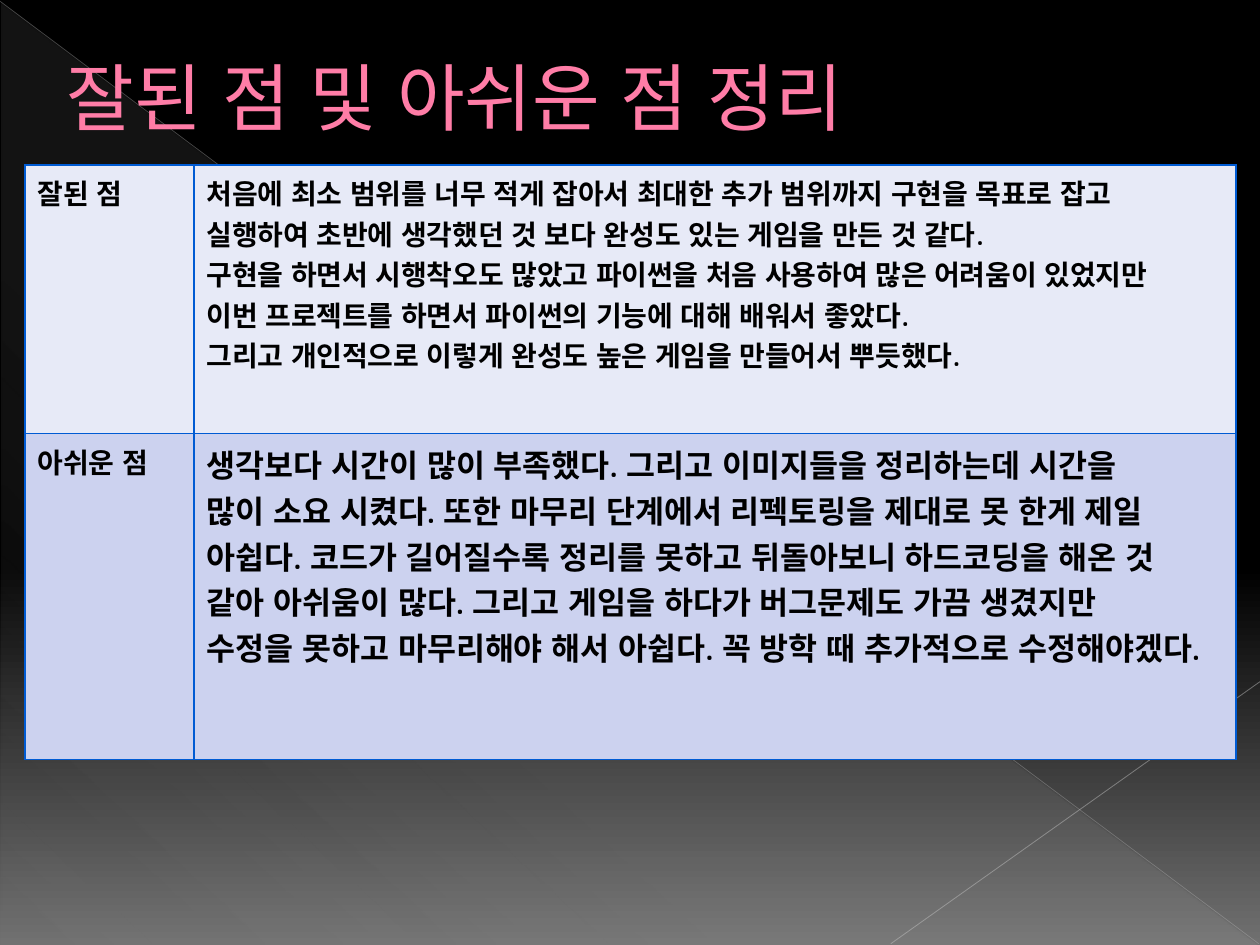
from lxml.etree import SubElement
from pptx import Presentation
from pptx.dml.color import RGBColor
from pptx.enum.shapes import MSO_CONNECTOR, MSO_SHAPE
from pptx.enum.text import MSO_ANCHOR, MSO_AUTO_SIZE, PP_ALIGN
from pptx.oxml.ns import qn
from pptx.util import Inches, Pt

# Content
TITLE = "잘된 점 및 아쉬운 점 정리"
ROWS = [
    {"label": "잘된 점", "fill": "good", "height": 2.13, "size": 16, "notes": [
        "처음에 최소 범위를 너무 적게 잡아서 최대한 추가 범위까지 구현을 목표로 잡고 "
        "실행하여 초반에 생각했던 것 보다 완성도 있는 게임을 만든 것 같다.",
        "구현을 하면서 시행착오도 많았고 파이썬을 처음 사용하여 많은 어려움이 있었지만",
        "이번 프로젝트를 하면서 파이썬의 기능에 대해 배워서 좋았다.",
        "그리고 개인적으로 이렇게 완성도 높은 게임을 만들어서 뿌듯했다."]},
    {"label": "아쉬운 점", "fill": "regret", "height": 2.59, "size": 18, "notes": [
        "생각보다 시간이 많이 부족했다. 그리고 이미지들을 정리하는데 시간을",
        "많이 소요 시켰다. 또한 마무리 단계에서 리펙토링을 제대로 못 한게 제일 아쉽다. "
        "코드가 길어질수록 정리를 못하고 뒤돌아보니 하드코딩을 해온 것 같아 아쉬움이 많다. "
        "그리고 게임을 하다가 버그문제도 가끔 생겼지만",
        "수정을 못하고 마무리해야 해서 아쉽다. 꼭 방학 때 추가적으로 수정해야겠다."]},
]
LABEL_SIZE = 16
COLUMNS = [1.34, 8.27]
LINE_SPACING = 1.16
RIGHT_MARGIN = 0.17
FONT = "Quicksand"
COLORS = {"night": "000000", "ash": "707070", "veil": "D2D2D2", "title": "FF7DA7",
          "outline": "B12761", "text": "000000", "border": "005BD3",
          "good": "E7EAF7", "regret": "CCD2EF", "falling": "BFBFBF", "rising": "C6C6C6"}
# Gradient stops: position, colour, opacity (percent)
BACKDROP = [(0, "night", 100), (60, "night", 100), (100, "ash", 100)]
VEIL = [(0, "veil", 10), (70, "veil", 8), (100, "veil", 1)]
# Diagonals: start, end, colour, width, opacity
DIAGONALS = [((0, 0.01), (9.99, 7.49), "falling", 0.39, 35),
             ((10, 5.41), (7.07, 7.49), "rising", 0.47, 45)]


def add_color(parent, color, opacity=100):
    node = SubElement(parent, qn("a:srgbClr"), val=COLORS[color])
    if opacity < 100:
        SubElement(node, qn("a:alpha"), val=str(opacity * 1000))


def set_gradient(fill, element, stops, angle):
    fill.gradient()
    gradient = next(element.iter(qn("a:gradFill")))
    for child in list(gradient):
        gradient.remove(child)
    stop_list = SubElement(gradient, qn("a:gsLst"))
    for position, color, opacity in stops:
        add_color(SubElement(stop_list, qn("a:gs"), pos=str(position * 1000)), color, opacity)
    SubElement(gradient, qn("a:lin"), ang=str(angle * 60000), scaled="0")


def add_span(para, text, size, color, bold=False):
    span = para.add_run()
    span.text = text
    span.font.size, span.font.bold, span.font.name = Pt(size), bold, FONT
    span.font.color.rgb = RGBColor.from_string(COLORS[color])
    SubElement(span.font._element, qn("a:ea"), typeface=FONT)
    return span


def set_cell(cell, lines, size, fill):
    cell.margin_right = Inches(RIGHT_MARGIN)
    for index, line in enumerate(lines):
        frame = cell.text_frame
        para = frame.add_paragraph() if index else frame.paragraphs[0]
        para.line_spacing = LINE_SPACING
        add_span(para, line, size, "text", bold=True)
    properties = cell._tc.get_or_add_tcPr()
    for side in ("a:lnL", "a:lnR", "a:lnT", "a:lnB"):
        border = SubElement(properties, qn(side), w=str(Pt(1)))
        add_color(SubElement(border, qn("a:solidFill")), "border")
    cell.fill.solid()
    cell.fill.fore_color.rgb = RGBColor.from_string(COLORS[fill])


deck = Presentation()
deck.slide_width, deck.slide_height = Inches(10), Inches(7.5)
page = deck.slides.add_slide(deck.slide_layouts[5])

# Background, triangular veil and diagonals
set_gradient(page.background.fill, page.element, BACKDROP, 90)
veil = page.shapes.add_shape(MSO_SHAPE.RIGHT_TRIANGLE, Inches(0.01), Inches(0.02),
                             Inches(9.98), Inches(7.48))
veil.shadow.inherit = False
veil.line.fill.background()
set_gradient(veil.fill, veil.element, VEIL, 133)
for start, end, color, width, opacity in DIAGONALS:
    diagonal = page.shapes.add_connector(MSO_CONNECTOR.STRAIGHT,
                                         *(Inches(value) for value in start + end))
    diagonal.line.width = Pt(width)
    diagonal.line.color.rgb = RGBColor.from_string(COLORS[color])
    tint = next(diagonal.element.spPr.iter(qn("a:srgbClr")))
    SubElement(tint, qn("a:alpha"), val=str(opacity * 1000))
    SubElement(diagonal.element.spPr, qn("a:effectLst"))

# Title, in front of the decoration
title = page.shapes.title
title.left, title.top, title.width, title.height = map(Inches, (0.43, 0, 9, 1.53))
page.shapes.element.append(title.element)
frame = title.text_frame
frame.auto_size, frame.vertical_anchor = MSO_AUTO_SIZE.NONE, MSO_ANCHOR.MIDDLE
frame.paragraphs[0].alignment = PP_ALIGN.LEFT
heading = add_span(frame.paragraphs[0], TITLE, 42, "title")
outline = SubElement(heading.font._element, qn("a:ln"), w=str(Pt(0.5)))
add_color(SubElement(outline, qn("a:solidFill")), "outline")
heading.font._element.insert(0, outline)

# Review table
table = page.shapes.add_table(len(ROWS), len(COLUMNS), Inches(0.2), Inches(1.31),
                              Inches(sum(COLUMNS)),
                              Inches(sum(row["height"] for row in ROWS))).table
table.first_row = table.horz_banding = False
for column, width in zip(table.columns, COLUMNS):
    column.width = Inches(width)
for index, row in enumerate(ROWS):
    table.rows[index].height = Inches(row["height"])
    set_cell(table.cell(index, 0), [row["label"]], LABEL_SIZE, row["fill"])
    set_cell(table.cell(index, 1), row["notes"], row["size"], row["fill"])

deck.save("out.pptx")
